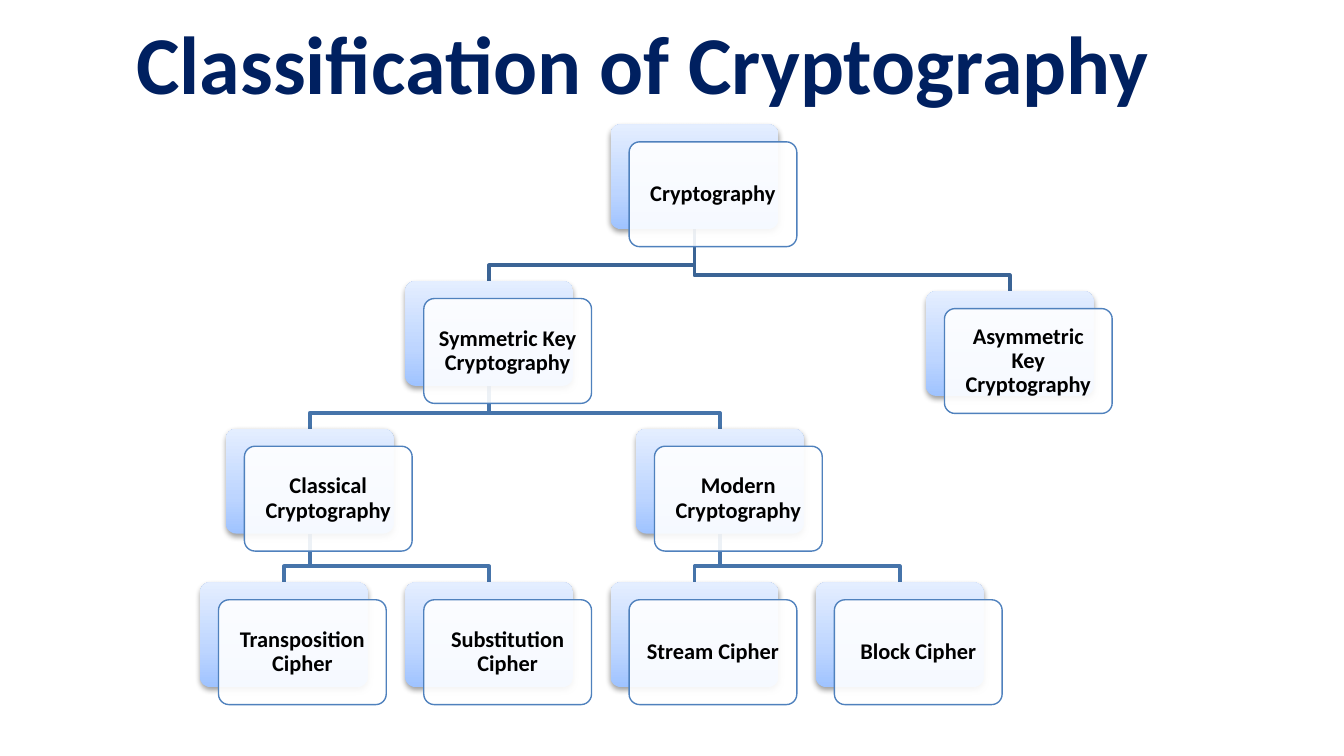
"""Build a slide with a tree diagram that classifies cryptography."""
from lxml.etree import SubElement
from pptx import Presentation
from pptx.dml.color import RGBColor
from pptx.enum.shapes import MSO_SHAPE as Shape
from pptx.enum.text import MSO_ANCHOR as Anchor, PP_ALIGN as Align
from pptx.oxml.ns import qn
from pptx.util import Cm, Pt

TITLE = "Classification of Cryptography"
LEAF_LEFT, LEAF_STEP = 3.78, 3.88
LEVEL_TOPS = [2.35, 5.31, 8.1, 11]
NODES = {
    "Cryptography": (LEAF_LEFT + 2 * LEAF_STEP, LEVEL_TOPS[0]),
    "Symmetric Key Cryptography": (LEAF_LEFT + LEAF_STEP, LEVEL_TOPS[1]),
    "Classical Cryptography": (4.27, LEVEL_TOPS[2]),
    "Modern Cryptography": (12.02, LEVEL_TOPS[2]),
    "Asymmetric Key Cryptography": (17.5, LEVEL_TOPS[1] + 0.19),
}
LEAVES = ["Transposition Cipher", "Substitution Cipher", "Stream Cipher", "Block Cipher"]
NODES.update({name: (LEAF_LEFT + i * LEAF_STEP, LEVEL_TOPS[3]) for i, name in enumerate(LEAVES)})
BRANCHES = {
    "Cryptography": ["Asymmetric Key Cryptography", "Symmetric Key Cryptography"],
    "Symmetric Key Cryptography": ["Classical Cryptography", "Modern Cryptography"],
    "Classical Cryptography": LEAVES[:2],
    "Modern Cryptography": LEAVES[2:],
}
COLORS = {"title": "002060", "text": "000000", "card": "FFFFFF", "border": "4F81BD",
          "top branch": "3B6495", "branch": "4674AA", "shadow": "000000"}
GRADIENT = [(0, "9FC3FF"), (35, "BDD5FF"), (100, "E4EEFF")]
WIDTH, HEIGHT = 3.17, 1.98
SHIFT_X, SHIFT_Y = 0.35, 0.33
BEND = 0.3
FONT = "Calibri"


def color(name):
    return RGBColor.from_string(COLORS[name])


def set_text(box, text, size, tint, inset_x, inset_y):
    frame = box.text_frame
    frame.text = text
    frame.word_wrap = True
    frame.vertical_anchor = Anchor.MIDDLE
    frame.margin_left = frame.margin_right = Cm(inset_x)
    frame.margin_top = frame.margin_bottom = Cm(inset_y)
    para = frame.paragraphs[0]
    para.alignment = Align.CENTER
    font = para.runs[0].font
    font.name, font.size, font.bold = FONT, Pt(size), True
    font.color.rgb = color(tint)
    return para


def add_branch(page, parent, child):
    (parent_left, parent_top), (child_left, child_top) = NODES[parent], NODES[child]
    start_x, end_x = parent_left + WIDTH / 2, child_left + WIDTH / 2
    bend_y = child_top - BEND
    builder = page.shapes.build_freeform(Cm(start_x), Cm(parent_top + HEIGHT))
    corners = [(start_x, bend_y), (end_x, bend_y), (end_x, child_top)]
    builder.add_line_segments([(Cm(x), Cm(y)) for x, y in corners], close=False)
    branch = builder.convert_to_shape()
    branch.shadow.inherit = False
    branch.fill.background()
    branch.line.color.rgb = color("top branch" if parent == "Cryptography" else "branch")
    branch.line.width = Pt(2)


def add_panel(page, left, top):
    panel = page.shapes.add_shape(Shape.ROUNDED_RECTANGLE, Cm(left), Cm(top), Cm(WIDTH), Cm(HEIGHT))
    panel.adjustments[0] = 0.1
    panel.shadow.inherit = False
    return panel


def style_back(panel):
    panel.line.fill.background()
    panel.fill.gradient()
    panel.fill.gradient_angle = 90
    properties = panel.element.spPr
    stops = properties.find(".//" + qn("a:gsLst"))
    for stop in list(stops):
        stops.remove(stop)
    for position, tint in GRADIENT:
        stop = SubElement(stops, qn("a:gs"), pos=str(position * 1000))
        SubElement(stop, qn("a:srgbClr"), val=tint)
    shadow = SubElement(properties.find(qn("a:effectLst")), qn("a:outerShdw"),
                        blurRad="40000", dist="20000", dir="5400000", rotWithShape="0")
    tint = SubElement(shadow, qn("a:srgbClr"), val=COLORS["shadow"])
    SubElement(tint, qn("a:alpha"), val="38000")


def style_front(panel, text):
    panel.fill.solid()
    panel.fill.fore_color.rgb = color("card")
    tint = panel.element.spPr.find(qn("a:solidFill")).find(qn("a:srgbClr"))
    SubElement(tint, qn("a:alpha"), val="90000")
    panel.line.color.rgb = color("border")
    panel.line.width = Pt(0.75)
    set_text(panel, text, 12, "text", 0.13, 0.13).line_spacing = 0.9


def main():
    deck = Presentation()
    deck.slide_width, deck.slide_height = Cm(25.4), Cm(14.28)
    page = deck.slides.add_slide(deck.slide_layouts[6])
    title = page.shapes.add_textbox(Cm(1.88), Cm(-0.03), Cm(20.55), Cm(2.39))
    set_text(title, TITLE, 44, "title", 0.18, 0.1)
    for parent, children in BRANCHES.items():
        for child in children:
            add_branch(page, parent, child)
    for name, (left, top) in NODES.items():
        style_back(add_panel(page, left, top))
        style_front(add_panel(page, left + SHIFT_X, top + SHIFT_Y), name)
    deck.save("out.pptx")


if __name__ == "__main__":
    main()
